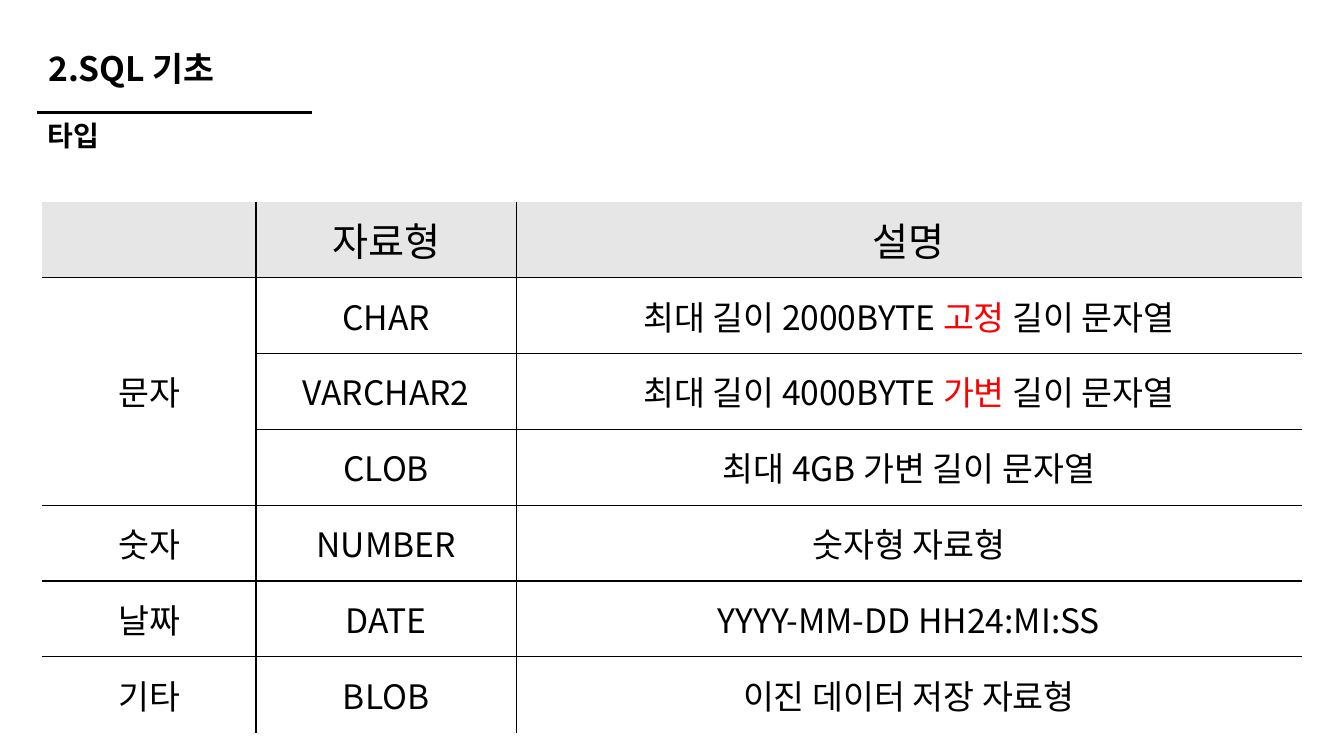
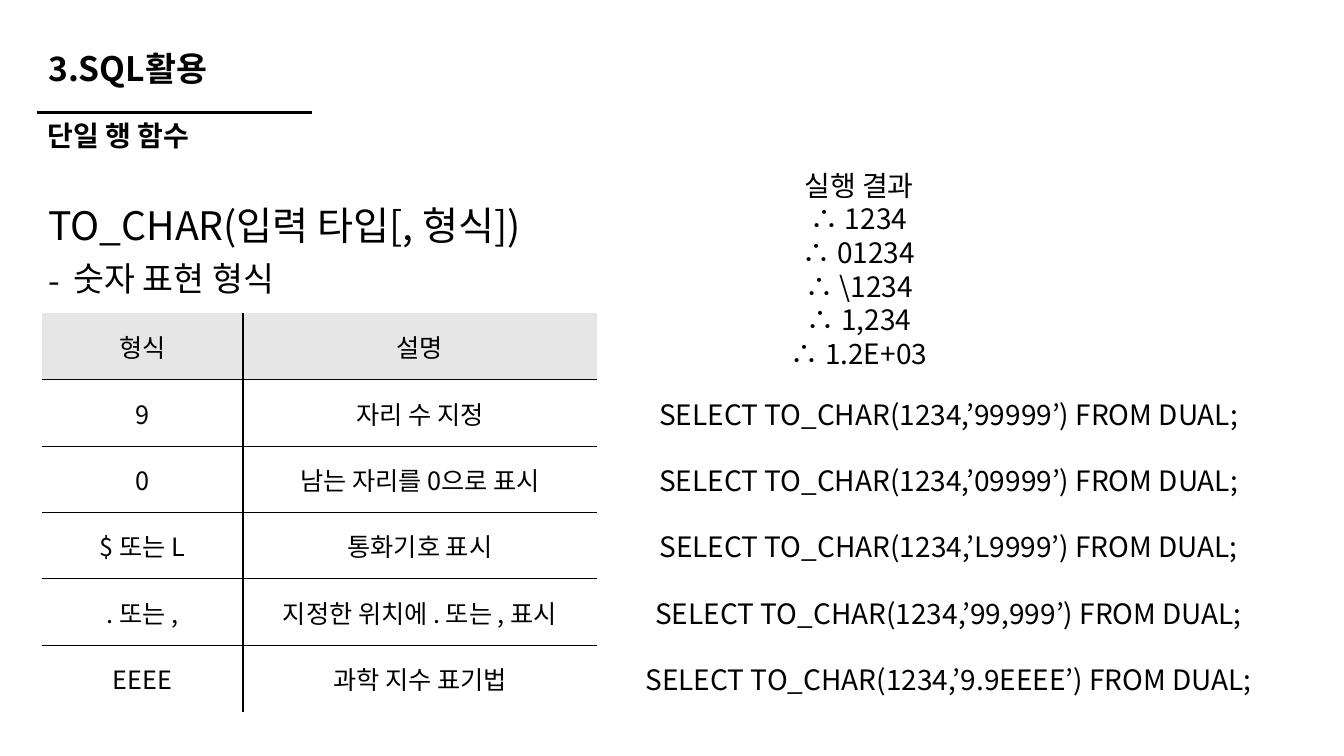
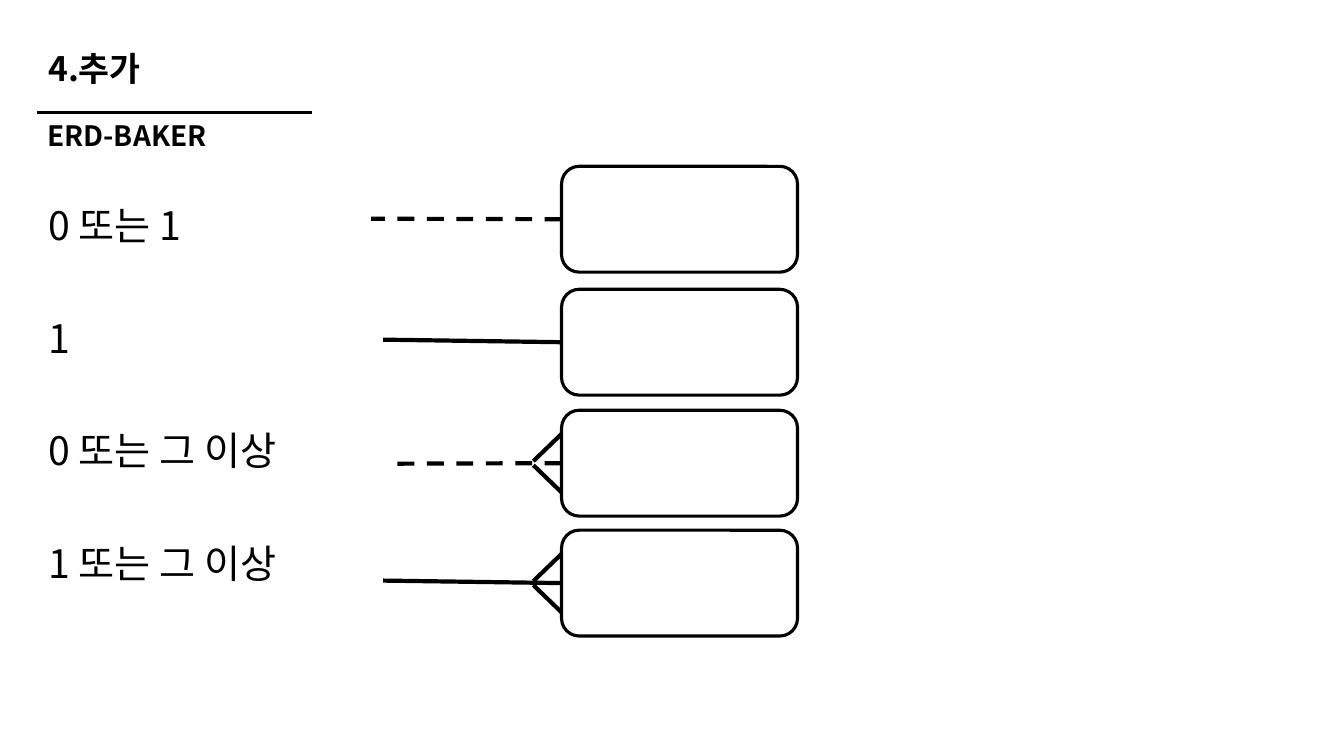
from lxml import etree
from pptx import Presentation
from pptx.dml.color import RGBColor
from pptx.enum.dml import MSO_LINE
from pptx.enum.shapes import MSO_CONNECTOR, MSO_SHAPE
from pptx.enum.text import MSO_ANCHOR, PP_ALIGN
from pptx.oxml.ns import qn
from pptx.util import Inches, Pt

STRAIGHT = MSO_CONNECTOR.STRAIGHT
ROUND = MSO_SHAPE.ROUNDED_RECTANGLE
DASH = MSO_LINE.DASH
MIDDLE = MSO_ANCHOR.MIDDLE
TOP = MSO_ANCHOR.TOP
CENTER = PP_ALIGN.CENTER
LEFT = PP_ALIGN.LEFT

FONT = "Noto Sans CJK KR"
COLORS = {"ink": "000000", "mark": "FF0000", "head": "E7E6E6"}

TYPES = [
    ["", "자료형", "설명"],
    ["문자", "CHAR", "최대 길이 2000BYTE |고정| 길이 문자열"],
    ["", "VARCHAR2", "최대 길이 4000BYTE |가변| 길이 문자열"],
    ["", "CLOB", "최대 4GB 가변 길이 문자열"],
    ["숫자", "NUMBER", "숫자형 자료형"],
    ["날짜", "DATE", "YYYY-MM-DD HH24:MI:SS"],
    ["기타", "BLOB", "이진 데이터 저장 자료형"],
]
FORMATS = [
    ["형식", "설명", ""],
    ["9", "자리 수 지정", "SELECT TO_CHAR(1234,’99999’) FROM DUAL;"],
    ["0", "남는 자리를 0으로 표시", "SELECT TO_CHAR(1234,’09999’) FROM DUAL;"],
    ["$ 또는 L", "통화기호 표시", "SELECT TO_CHAR(1234,’L9999’) FROM DUAL;"],
    [". 또는 ,", "지정한 위치에 . 또는 , 표시",
     "SELECT TO_CHAR(1234,’99,999’) FROM DUAL;"],
    ["EEEE", "과학 지수 표기법", "SELECT TO_CHAR(1234,’9.9EEEE’) FROM DUAL;"],
]
RESULTS = ["실행 결과", "∴ 1234", "∴ 01234", "∴ \\1234", "∴ 1,234", "∴ 1.2E+03"]
RULES = ["0 또는 1", "1", "0 또는 그 이상", "1 또는 그 이상"]
LINKS = [
    (1.65, 3.68, 2.17, True, False),
    (2.87, 3.8, 3.37, False, False),
    (4.07, 3.9, 4.6, True, True),
    (5.26, 3.8, 5.76, False, True),
]


def color(name):
    return RGBColor.from_string(COLORS[name])


def write(para, text, size, bold=False, align=LEFT, dash=False):
    for i, part in enumerate(text.split("|")):
        run = para.add_run()
        run.text = part
        if i % 2:
            run.font.color.rgb = color("mark")
    para.alignment = align
    if dash:
        props = para._p.get_or_add_pPr()
        props.set("marL", str(Inches(0.25)))
        props.set("indent", str(-Inches(0.25)))
        etree.SubElement(props, qn("a:buFont")).set("typeface", FONT)
        etree.SubElement(props, qn("a:buChar")).set("char", "-")
    font = para.font
    font.size, font.bold, font.name = Pt(size), bold, FONT
    font.color.rgb = color("ink")
    etree.SubElement(font._element, qn("a:ea")).set("typeface", FONT)


def add_text(slide, box, lines, bold=False, anchor=TOP, align=LEFT,
             wrap=True, gap=0, pitch=None):
    frame = slide.shapes.add_textbox(*map(Inches, box)).text_frame
    frame.word_wrap = wrap
    frame.vertical_anchor = anchor
    for i, (text, size, dash) in enumerate(lines):
        para = frame.add_paragraph() if i else frame.paragraphs[0]
        write(para, text, size, bold, align, dash)
        if pitch:
            para.line_spacing = pitch
        if i and gap:
            para.space_before = Pt(gap)


def add_line(slide, start, end, width, dash=False):
    line = slide.shapes.add_connector(STRAIGHT, *map(Inches, start + end))
    line.line.color.rgb = color("ink")
    line.line.width = Pt(width)
    if dash:
        line.line.dash_style = DASH
    etree.SubElement(line._element.spPr, qn("a:effectLst"))
    return line


def add_head(deck, title, topic):
    slide = deck.slides.add_slide(deck.slide_layouts[6])
    add_text(slide, (0.38, 0.31, 4.35, 0.79), [(title, 24, False)],
             bold=True, anchor=MIDDLE, pitch=0.9)
    add_line(slide, (0.37, 1.12), (3.09, 1.12), 2.25)
    add_text(slide, (0.37, 1.13, 2.59, 0.47), [(topic, 20, False)],
             bold=True, anchor=MIDDLE, pitch=0.9)
    return slide


def set_edges(cell, edges):
    props = cell._tc.get_or_add_tcPr()
    for side in "LRTB":
        edge = etree.SubElement(props, qn("a:ln" + side))
        edge.set("w", str(Pt(1)))
        if side in edges:
            fill = etree.SubElement(edge, qn("a:solidFill"))
            etree.SubElement(fill, qn("a:srgbClr")).set("val", COLORS["ink"])
        else:
            etree.SubElement(edge, qn("a:noFill"))


def add_grid(slide, box, rows, widths, sizes, top_size, ruled, span=None):
    table = slide.shapes.add_table(len(rows), len(widths), *map(Inches, box)).table
    table.first_row = table.horz_banding = False
    for col, width in zip(table.columns, widths):
        col.width = Inches(width)
    for row in table.rows:
        row.height = Inches(box[3] / len(rows))
    if span:
        table.cell(*span[0]).merge(table.cell(*span[1]))
    for r, texts in enumerate(rows):
        for c, text in enumerate(texts):
            cell = table.cell(r, c)
            if cell.is_spanned:
                continue
            tests = {"L": c > 0, "R": c < ruled - 1,
                     "T": r > 0, "B": r < len(rows) - 1}
            set_edges(cell, [s for s in tests if tests[s] and c < ruled])
            if r == 0 and c < ruled:
                cell.fill.solid()
                cell.fill.fore_color.rgb = color("head")
            else:
                cell.fill.background()
            cell.vertical_anchor = MIDDLE
            if text:
                size = sizes[c] if r else top_size
                write(cell.text_frame.paragraphs[0], text, size, align=CENTER)


def add_link(slide, left, top, start, dash, fork):
    box = slide.shapes.add_shape(ROUND, *map(Inches, (left, top, 2.34, 1.05)))
    box.shadow.inherit = False
    box.fill.background()
    box.line.color.rgb = color("ink")
    box.line.width = Pt(2.25)
    mid = top + 0.525
    line = add_line(slide, (left, mid), start, 3, dash)
    line.begin_connect(box, 1)
    if fork:
        for sign in (-1, 1):
            add_line(slide, (left - 0.28, mid + sign * 0.02),
                     (left, mid + sign * 0.29), 3)


def types_slide(deck):
    slide = add_head(deck, "2.SQL 기초", "타입")
    add_grid(slide, (0.42, 2, 12.48, 5.27), TYPES, (2.12, 2.58, 7.79),
             (24, 24, 24), 28, 3, ((1, 0), (3, 0)))


def format_slide(deck):
    slide = add_head(deck, "3.SQL활용", "단일 행 함수")
    lines = [("TO_CHAR(입력 타입[, 형식])", 28, False), ("숫자 표현 형식", 24, True)]
    add_text(slide, (0.38, 2, 12.53, 1.1), lines, gap=10, pitch=0.9)
    add_grid(slide, (0.42, 3.11, 12.48, 3.95), FORMATS, (1.99, 3.51, 6.98),
             (18, 18, 20), 18, 2)
    add_text(slide, (7.52, 1.62, 2, 2.12),
             [(text, 20, False) for text in RESULTS], align=CENTER, wrap=False)


def erd_slide(deck):
    slide = add_head(deck, "4.추가", "ERD-BAKER")
    add_text(slide, (0.38, 2, 3.2, 5.28), [(text, 28, False) for text in RULES],
             gap=50.25, pitch=0.9)
    for top, x, y, dash, fork in LINKS:
        add_link(slide, 5.57, top, (x, y), dash, fork)


def main():
    deck = Presentation()
    deck.slide_width, deck.slide_height = Inches(13.33), Inches(7.5)
    types_slide(deck)
    format_slide(deck)
    erd_slide(deck)
    deck.save("out.pptx")


if __name__ == "__main__":
    main()
